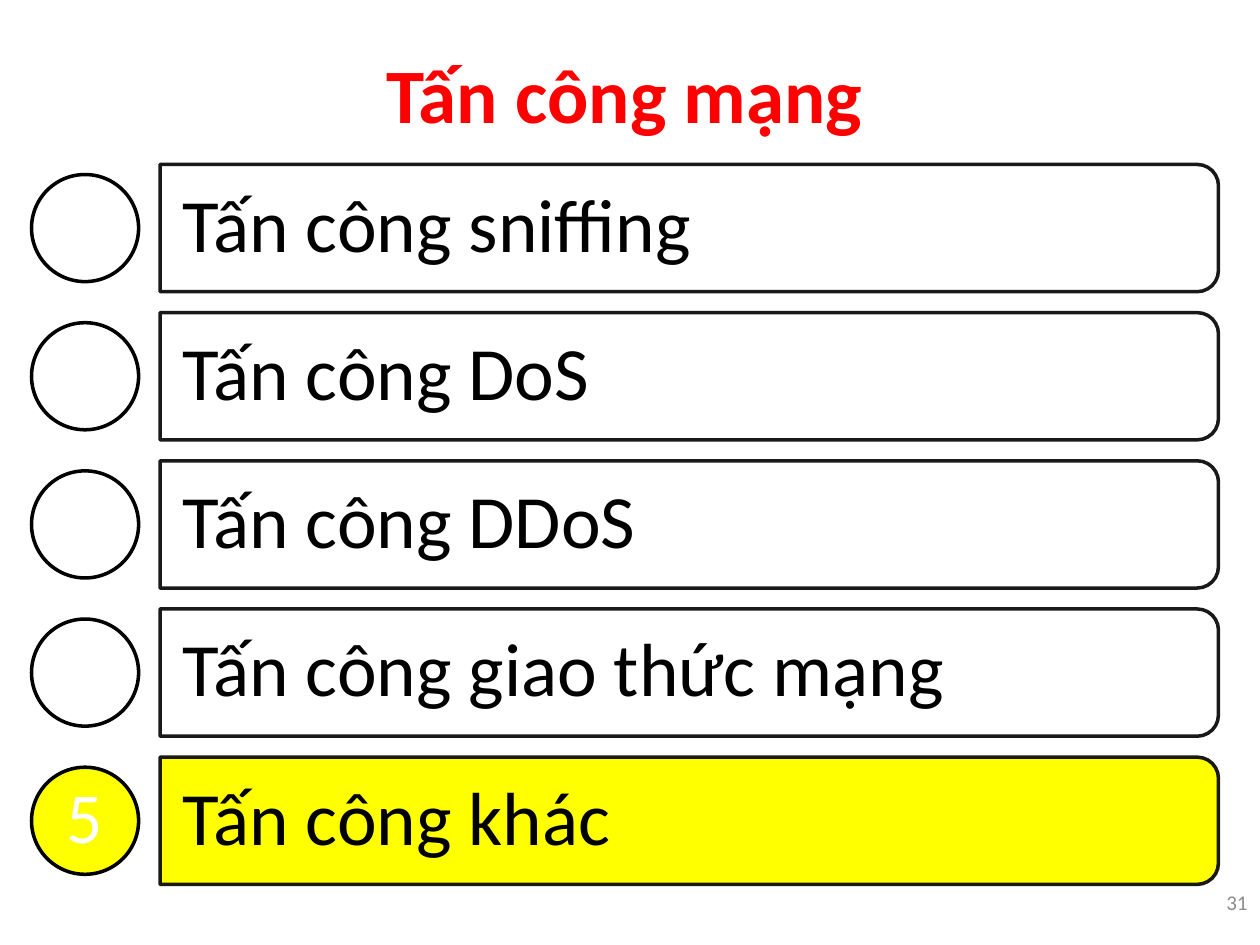
from pptx import Presentation
from pptx.dml.color import RGBColor
from pptx.enum.shapes import MSO_SHAPE as Preset
from pptx.enum.text import MSO_ANCHOR as Anchor, PP_ALIGN as Align
from pptx.oxml.ns import qn
from pptx.oxml.xmlchemy import OxmlElement
from pptx.util import Inches, Pt

COLORS = {"white": "FFFFFF", "black": "000000", "red": "FF0000",
          "highlight": "FFFF00", "gray": "8C8C8C"}
FONT = "Calibri"
TOPICS = ["Tấn công sniffing", "Tấn công DoS", "Tấn công DDoS",
          "Tấn công giao thức mạng", "Tấn công khác"]
CURRENT = 4
FIRST_CENTER, ROW_PITCH = 1.81, 1.176
CIRCLE_LEFT, CIRCLE_SIZE = 0.25, 0.85
BAR_LEFT, BAR_LENGTH, BAR_HEIGHT = 1.27, 8.4, 1.01
LABEL_WIDTH, LABEL_HEIGHT, NUMBER_SIZE = 8.35, 0.91, 0.6


def color(name):
    return RGBColor.from_string(COLORS[name])


def centered(x, y, width, height):
    return [Inches(v) for v in (x - width / 2, y - height / 2, width, height)]


def set_values(target, values):
    for name, value in values.items():
        setattr(target, name, value)


def write_text(shape, text, size, color_name, insets=(0.1, 0.05),
               align=Align.LEFT, bold=False, spacing=None):
    frame = shape.text_frame
    across, down = map(Inches, insets)
    set_values(frame, {"word_wrap": True, "vertical_anchor": Anchor.MIDDLE,
                       "margin_left": across, "margin_right": across,
                       "margin_top": down, "margin_bottom": down})
    paragraph = frame.paragraphs[0]
    set_values(paragraph, {"alignment": align, "line_spacing": spacing})
    run = paragraph.add_run()
    run.text = text
    set_values(run.font, {"name": FONT, "size": Pt(size), "bold": bold})
    run.font.color.rgb = color(color_name)


def set_opacity(color_format_parent, percent):
    for element in color_format_parent.iter(qn("a:srgbClr")):
        alpha = OxmlElement("a:alpha")
        alpha.set("val", str(percent * 1000))
        element.append(alpha)


def add_outlined(slide, preset, box, fill_name):
    shape = slide.shapes.add_shape(preset, *box)
    shape.shadow.inherit = False
    shape.fill.solid()
    shape.fill.fore_color.rgb = color(fill_name)
    shape.line.color.rgb = color("black")
    shape.line.width = Pt(2)
    return shape


def add_bar(slide, center, fill_name):
    box = centered(BAR_LEFT + BAR_LENGTH / 2, center, BAR_HEIGHT, BAR_LENGTH)
    bar = add_outlined(slide, Preset.ROUND_2_SAME_RECTANGLE, box, fill_name)
    bar.rotation = 90
    properties = bar.element.spPr
    set_opacity(properties.find(qn("a:ln")), 90)
    if fill_name == "white":
        set_opacity(properties.find(qn("a:solidFill")), 90)


def add_topic(slide, index, topic):
    center = FIRST_CENTER + index * ROW_PITCH
    current = index == CURRENT
    fill_name = "highlight" if current else "white"
    add_bar(slide, center, fill_name)
    label = slide.shapes.add_textbox(
        *centered(BAR_LEFT + LABEL_WIDTH / 2, center, LABEL_WIDTH, LABEL_HEIGHT))
    write_text(label, topic, 43, "black", insets=(0.18, 0.12), spacing=0.9)
    middle = CIRCLE_LEFT + CIRCLE_SIZE / 2
    add_outlined(slide, Preset.OVAL,
                 centered(middle, center, CIRCLE_SIZE, CIRCLE_SIZE), fill_name)
    if current:
        number = slide.shapes.add_textbox(
            *centered(middle, center, NUMBER_SIZE, NUMBER_SIZE))
        write_text(number, str(index + 1), 41, "white", insets=(0, 0),
                   align=Align.CENTER, spacing=0.9)


def add_title(slide, text):
    title = slide.shapes.title
    set_values(title, {"left": Inches(0.25), "top": Inches(0.3),
                       "width": Inches(9.42), "height": Inches(0.87)})
    write_text(title, text, 44, "red", align=Align.CENTER, bold=True)


def add_page_number(slide, text):
    box = slide.shapes.add_textbox(
        Inches(9.33), Inches(6.82), Inches(0.67), Inches(0.68))
    write_text(box, text, 12, "gray", align=Align.RIGHT)


def main():
    presentation = Presentation()
    set_values(presentation, {"slide_width": Inches(10),
                              "slide_height": Inches(7.5)})
    slide = presentation.slides.add_slide(presentation.slide_layouts[5])
    add_title(slide, "Tấn công mạng")
    for index, topic in enumerate(TOPICS):
        add_topic(slide, index, topic)
    add_page_number(slide, "31")
    presentation.save("out.pptx")


if __name__ == "__main__":
    main()
